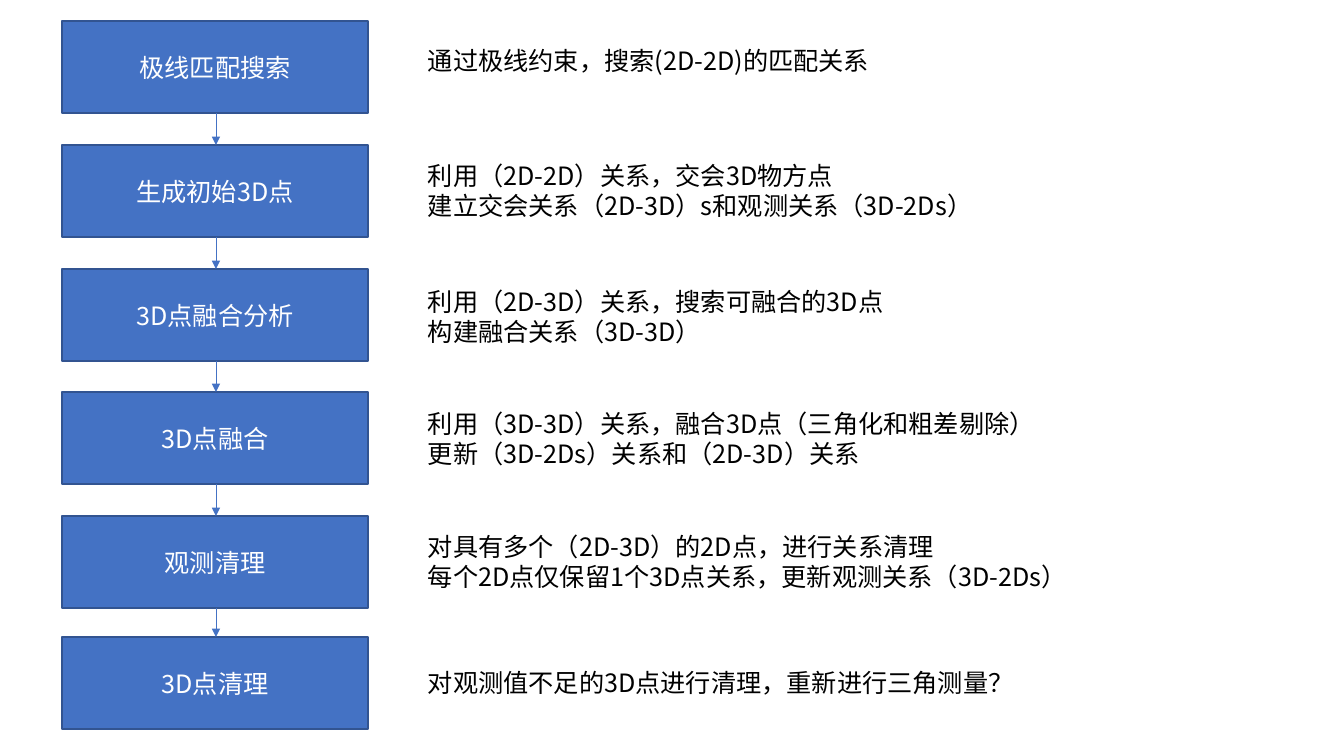
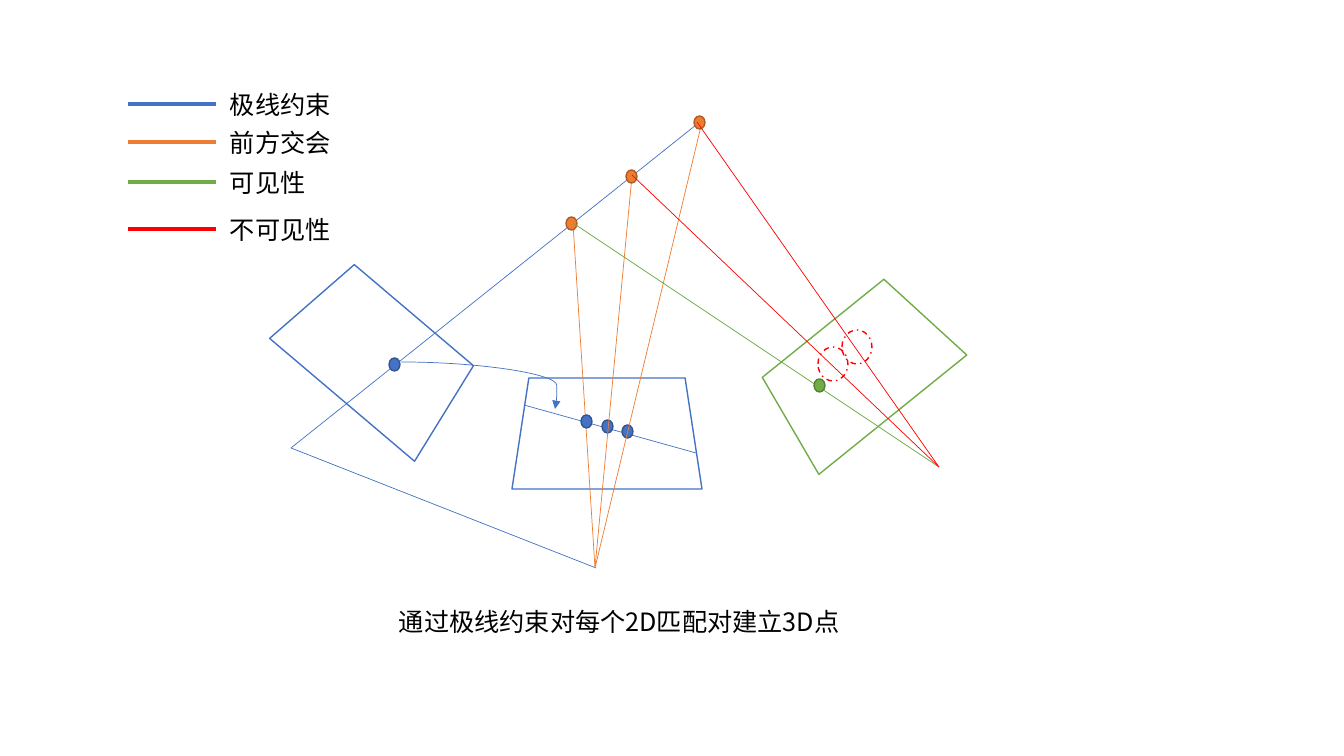
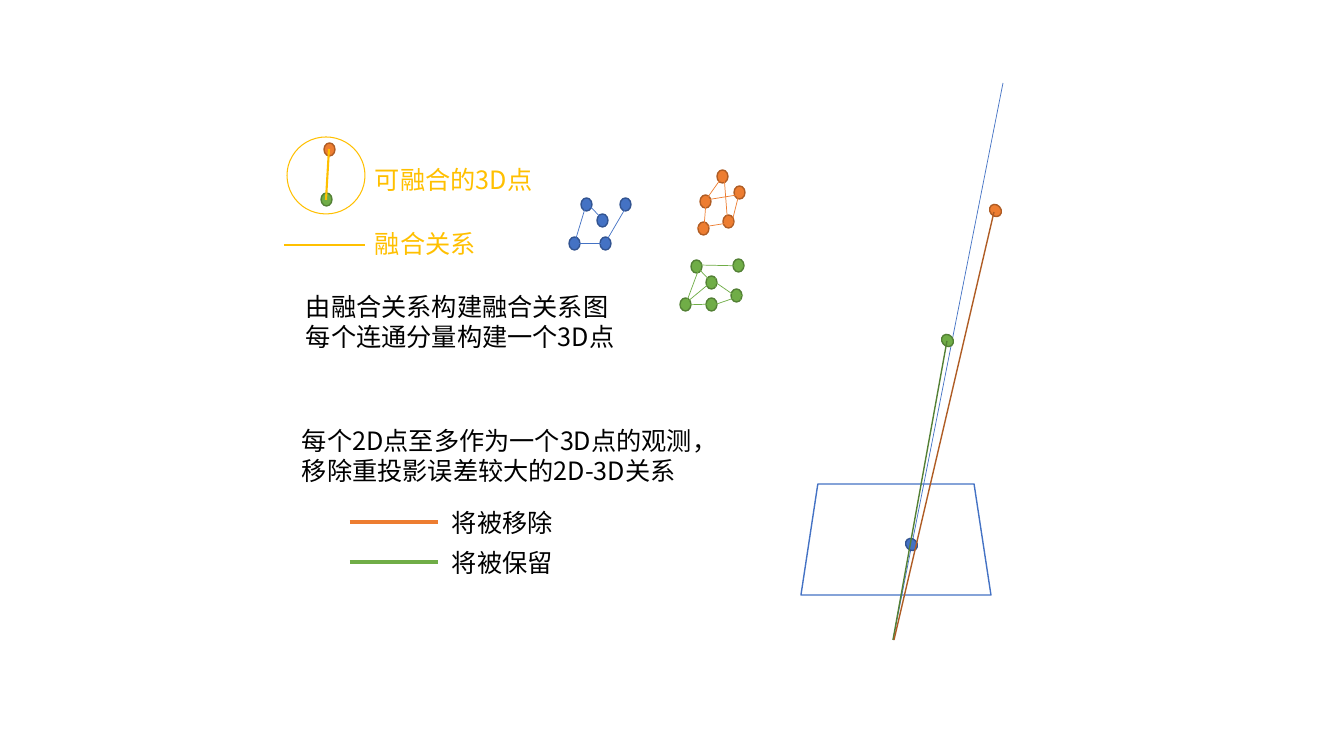
from lxml.etree import SubElement
from pptx import Presentation
from pptx.dml.color import RGBColor
from pptx.enum.dml import MSO_LINE
from pptx.enum.shapes import MSO_CONNECTOR as LINK, MSO_SHAPE as FORM
from pptx.enum.text import MSO_AUTO_SIZE as FIT, MSO_ANCHOR as ANCHOR, PP_ALIGN as ALIGN
from pptx.oxml.ns import qn
from pptx.util import Pt

PX = 914400 / 100.8
BLUE, ORANGE, GREEN, RED, GOLD = "4472C4", "ED7D31", "70AD47", "FF0000", "FFC000"
WHITE, BLACK = "FFFFFF", "000000"
EDGE = {BLUE: "325491", ORANGE: "AF5C24", GREEN: "538035"}
PLANE, DOT, GHOST = (190, 111), (11, 13), (30, 34)
TILT = 319.7
FONT = {"name": "Noto Sans CJK SC", "size": Pt(18)}
NOTE_FRAME = {"word_wrap": True, "auto_size": FIT.SHAPE_TO_FIT_TEXT, "vertical_anchor": ANCHOR.TOP}
STEP_FRAME = {"word_wrap": True, "vertical_anchor": ANCHOR.MIDDLE}


def put(slide, form, box, fill=None, outline=None, weight=1, text="", ink=BLACK, rotation=0):
    place = [round(v * PX) for v in box]
    if form is None:
        item = slide.shapes.add_textbox(*place)
    else:
        item = slide.shapes.add_shape(form, *place)
        item.shadow.inherit = False
        item.rotation = rotation
        if fill:
            item.fill.solid()
            item.fill.fore_color.rgb = RGBColor.from_string(fill)
        else:
            item.fill.background()
        item.line.color.rgb = RGBColor.from_string(outline)
        item.line.width = Pt(weight)
    if form == FORM.TRAPEZOID:
        item.adjustments[0] = 0.152
    if text:
        frame = item.text_frame
        frame.text = text
        for key, value in (STEP_FRAME if form else NOTE_FRAME).items():
            setattr(frame, key, value)
        for paragraph in frame.paragraphs:
            paragraph.alignment = ALIGN.CENTER if form else ALIGN.LEFT
            for run in paragraph.runs:
                run.font.color.rgb = RGBColor.from_string(ink)
                for key, value in FONT.items():
                    setattr(run.font, key, value)
                SubElement(run.font._element, qn("a:ea"), typeface=FONT["name"])
    return item


def link(slide, ends, color, weight=0.5, arrow=False, kind=LINK.STRAIGHT):
    item = slide.shapes.add_connector(kind, *[round(v * PX) for v in ends])
    item.line.color.rgb = RGBColor.from_string(color)
    item.line.width = Pt(weight)
    if arrow:
        SubElement(item.line._get_or_add_ln(), qn("a:tailEnd"), type="triangle")
    SubElement(item._element.spPr, qn("a:effectLst"))
    return item


deck = Presentation()
deck.slide_width, deck.slide_height = round(1344 * PX), round(756 * PX)
flow, matching, fusion = [deck.slides.add_slide(deck.slide_layouts[6]) for _ in range(3)]

steps = [
    (21, "极线匹配搜索", 40, 466, "通过极线约束，搜索(2D-2D)的匹配关系"),
    (145, "生成初始3D点", 155, 573,
     "利用（2D-2D）关系，交会3D物方点\n建立交会关系（2D-3D）s和观测关系（3D-2Ds）"),
    (269, "3D点融合分析", 281, 482,
     "利用（2D-3D）关系，搜索可融合的3D点\n构建融合关系（3D-3D）"),
    (392, "3D点融合", 403, 635,
     "利用（3D-3D）关系，融合3D点（三角化和粗差剔除）\n更新（3D-2Ds）关系和（2D-3D）关系"),
    (516, "观测清理", 526, 664,
     "对具有多个（2D-3D）的2D点，进行关系清理\n每个2D点仅保留1个3D点关系，更新观测关系（3D-2Ds）"),
    (637, "3D点清理", 662, 611, "对观测值不足的3D点进行清理，重新进行三角测量？"),
]
for top, name, note_top, note_width, note in steps:
    put(flow, FORM.RECTANGLE, (62, top, 306, 92), BLUE, EDGE[BLUE], text=name, ink=WHITE)
    put(flow, None, (418, note_top, note_width, 72 if "\n" in note else 40), text=note)
for step, following in zip(steps, steps[1:]):
    link(flow, (216, step[0] + 92, 216, following[0]), BLUE, arrow=True)

for slide, left, top, color, rotation in [
    (matching, 283, 302, BLUE, 40.3),
    (matching, 512, 378, BLUE, 0),
    (matching, 763, 316, GREEN, 321.1),
    (fusion, 801, 484, BLUE, 0),
]:
    put(slide, FORM.TRAPEZOID, (left, top, *PLANE), WHITE, color, rotation=rotation)

for ends, color in [
    ((291, 448, 701, 121), BLUE),
    ((573, 223, 595, 568), ORANGE),
    ((291, 448, 596, 568), BLUE),
    ((524, 405, 696, 453), BLUE),
]:
    link(matching, ends, color)
for spot in [(389, 358), (581, 415), (602, 420), (622, 425)]:
    put(matching, FORM.OVAL, (*spot, *DOT), BLUE, EDGE[BLUE])
for target in [(632, 176), (702, 122)]:
    link(matching, (595, 568, *target), ORANGE)
for spot in [(566, 217), (626, 170), (694, 116)]:
    put(matching, FORM.OVAL, (*spot, *DOT), ORANGE, EDGE[ORANGE])
link(matching, (573, 223, 939, 467), GREEN)
put(matching, FORM.OVAL, (814, 379, *DOT), GREEN, EDGE[GREEN])
for source in [(632, 175), (697, 122)]:
    link(matching, (*source, 939, 467), RED)
for spot in [(818, 347), (842, 330)]:
    hidden_spot = put(matching, FORM.OVAL, (*spot, *GHOST), None, RED)
    hidden_spot.line.dash_style = MSO_LINE.DASH_DOT
transfer = link(matching, (401, 362, 555, 409), BLUE, arrow=True, kind=LINK.CURVE)
bend = transfer._element.spPr.find(qn("a:prstGeom")).find(qn("a:avLst"))
SubElement(bend, qn("a:gd"), name="adj1", fmla="val 101200")
put(matching, None, (389, 601, 464, 40), text="通过极线约束对每个2D匹配对建立3D点")

clusters = [
    (BLUE,
     [(581, 198), (597, 214), (600, 237), (620, 198), (569, 237)],
     [(587, 202, 574, 245), (577, 243, 607, 243), (585, 201, 606, 223), (604, 245, 628, 204)]),
    (ORANGE,
     [(723, 215), (698, 222), (717, 170), (700, 195), (734, 186), (324, 143)],
     [(697, 228, 734, 222), (706, 200, 743, 194), (704, 228, 706, 202),
      (731, 226, 739, 194), (728, 227, 724, 175), (703, 204, 725, 173)]),
    (GREEN,
     [(706, 298), (733, 259), (731, 289), (691, 260), (680, 298), (706, 276), (321, 193)],
     [(684, 309, 700, 266), (680, 305, 717, 304), (681, 307, 716, 278), (711, 306, 743, 295),
      (697, 267, 716, 287), (698, 265, 745, 266), (715, 282, 741, 300)]),
]
for color, spots, relations in clusters:
    for spot in spots:
        put(fusion, FORM.OVAL, (*spot, *DOT), color, EDGE[color])
    for ends in relations:
        link(fusion, ends, color)

put(fusion, FORM.OVAL, (287, 137, 78, 77), None, GOLD, 0.75)
for ends in [(329, 149, 326, 200), (284, 245, 365, 245)]:
    link(fusion, ends, GOLD, 1.5)
for top, label in [(159, "可融合的3D点"), (223, "融合关系")]:
    put(fusion, None, (365, top, 183, 41), text=label, ink=GOLD)
put(fusion, None, (296, 286, 332, 72), text="由融合关系构建融合关系图\n每个连通分量构建一个3D点")
put(fusion, None, (292, 420, 438, 72),
    text="每个2D点至多作为一个3D点的观测，\n移除重投影误差较大的2D-3D关系")

link(fusion, (893, 640, 1003, 83), BLUE)
for left, top, color in [(906, 538, BLUE), (942, 334, GREEN), (990, 204, ORANGE)]:
    put(fusion, FORM.OVAL, (left, top, *DOT), color, EDGE[color], rotation=TILT)
for ends, color in [((947, 341, 893, 640), GREEN), ((994, 212, 894, 640), ORANGE)]:
    link(fusion, ends, EDGE[color], 1)

for slide, left, middle, color, label in [
    (matching, 128, 104, BLUE, "极线约束"),
    (matching, 128, 142, ORANGE, "前方交会"),
    (matching, 128, 182, GREEN, "可见性"),
    (matching, 128, 229, RED, "不可见性"),
    (fusion, 350, 522, ORANGE, "将被移除"),
    (fusion, 350, 562, GREEN, "将被保留"),
]:
    link(slide, (left, middle, left + 88, middle), color, 2.25)
    put(slide, None, (left + 92, middle - 20, 22 + 25 * len(label), 40), text=label)

deck.save("out.pptx")
